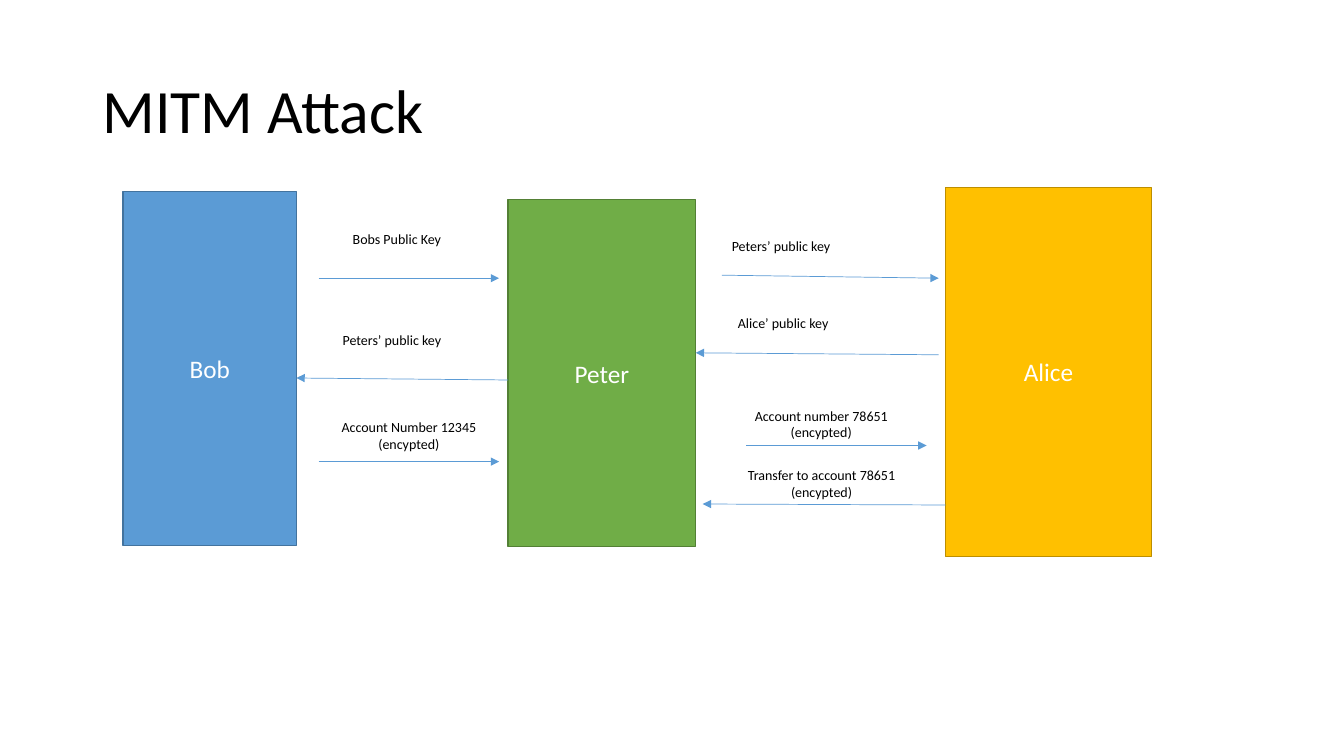
from lxml.etree import SubElement
from pptx import Presentation
from pptx.dml.color import RGBColor
from pptx.enum.shapes import MSO_CONNECTOR, MSO_SHAPE
from pptx.enum.text import MSO_ANCHOR, PP_ALIGN
from pptx.oxml.ns import qn
from pptx.util import Pt

PX = 9144  # 100 px to the inch
FONT = "Calibri"
BLACK, WHITE, BLUE = "000000", "FFFFFF", "5B9BD5"
LEFT, MID = PP_ALIGN.LEFT, PP_ALIGN.CENTER

TITLE = ("MITM Attack", (92, 40, 1150, 145))

# name, box, fill, line
PEOPLE = [
    ("Bob", (122, 190, 172, 351), BLUE, "43739E"),
    ("Peter", (504, 198, 186, 344), "70AD47", "538035"),
    ("Alice", (938, 186, 204, 366), "FFC000", "BD8E00"),
]

# start x, start y, end x, end y
ARROWS = [
    (316, 276, 495, 276),
    (504, 377, 294, 375),
    (316, 458, 495, 458),
    (716, 273, 931, 276),
    (931, 352, 690, 350),
    (740, 442, 919, 442),
    (938, 501, 697, 500),
]

# box, lines of (text, alignment)
LABELS = [
    ((340, 224, 117, 27), [("Bobs Public Key", LEFT)]),
    ((330, 324, 191, 27), [("Peters’ public key", LEFT)]),
    ((323, 410, 165, 44), [("Account Number 12345 (encypted)", MID)]),
    ((716, 231, 191, 27), [("Peters’ public key", LEFT)]),
    ((722, 307, 191, 27), [("Alice’ public key", LEFT)]),
    ((710, 399, 209, 44), [("Account number 78651 (encypted)", MID)]),
    ((732, 458, 170, 44), [("Transfer to account 78651", LEFT),
                           ("(encypted)", MID)]),
]


def color(code):
    return RGBColor.from_string(code)


def scale(box):
    return [n * PX for n in box]


def write(frame, lines, size, ink, anchor=MSO_ANCHOR.TOP):
    frame.word_wrap = len(lines) == 1
    frame.vertical_anchor = anchor
    for i, (text, align) in enumerate(lines):
        para = frame.add_paragraph() if i else frame.paragraphs[0]
        para.alignment = align
        run = para.add_run()
        run.text = text
        run.font.name = FONT
        run.font.size = Pt(size)
        run.font.color.rgb = color(ink)


def arrow(slide, ends):
    line = slide.shapes.add_connector(MSO_CONNECTOR.STRAIGHT, *scale(ends))
    line.line.color.rgb = color(BLUE)
    line.line.width = Pt(0.5)
    props = line.element.spPr
    SubElement(props.find(qn("a:ln")), qn("a:tailEnd"), type="triangle")
    SubElement(props, qn("a:effectLst"))


def main():
    deck = Presentation()
    deck.slide_width, deck.slide_height = scale((1333, 750))
    slide = deck.slides.add_slide(deck.slide_layouts[6])
    shapes = slide.shapes

    # Title
    text, box = TITLE
    frame = shapes.add_textbox(*scale(box)).text_frame
    write(frame, [(text, LEFT)], 44, BLACK, MSO_ANCHOR.MIDDLE)
    frame.paragraphs[0].line_spacing = 0.9

    # People
    for name, box, fill, edge in PEOPLE:
        rect = shapes.add_shape(MSO_SHAPE.RECTANGLE, *scale(box))
        rect.shadow.inherit = False
        rect.fill.solid()
        rect.fill.fore_color.rgb = color(fill)
        rect.line.color.rgb = color(edge)
        rect.line.width = Pt(1)
        write(rect.text_frame, [(name, MID)], 18, WHITE, MSO_ANCHOR.MIDDLE)

    # Messages
    for ends in ARROWS:
        arrow(slide, ends)
    for box, lines in LABELS:
        write(shapes.add_textbox(*scale(box)).text_frame, lines, 10, BLACK)

    deck.save("out.pptx")


if __name__ == "__main__":
    main()
